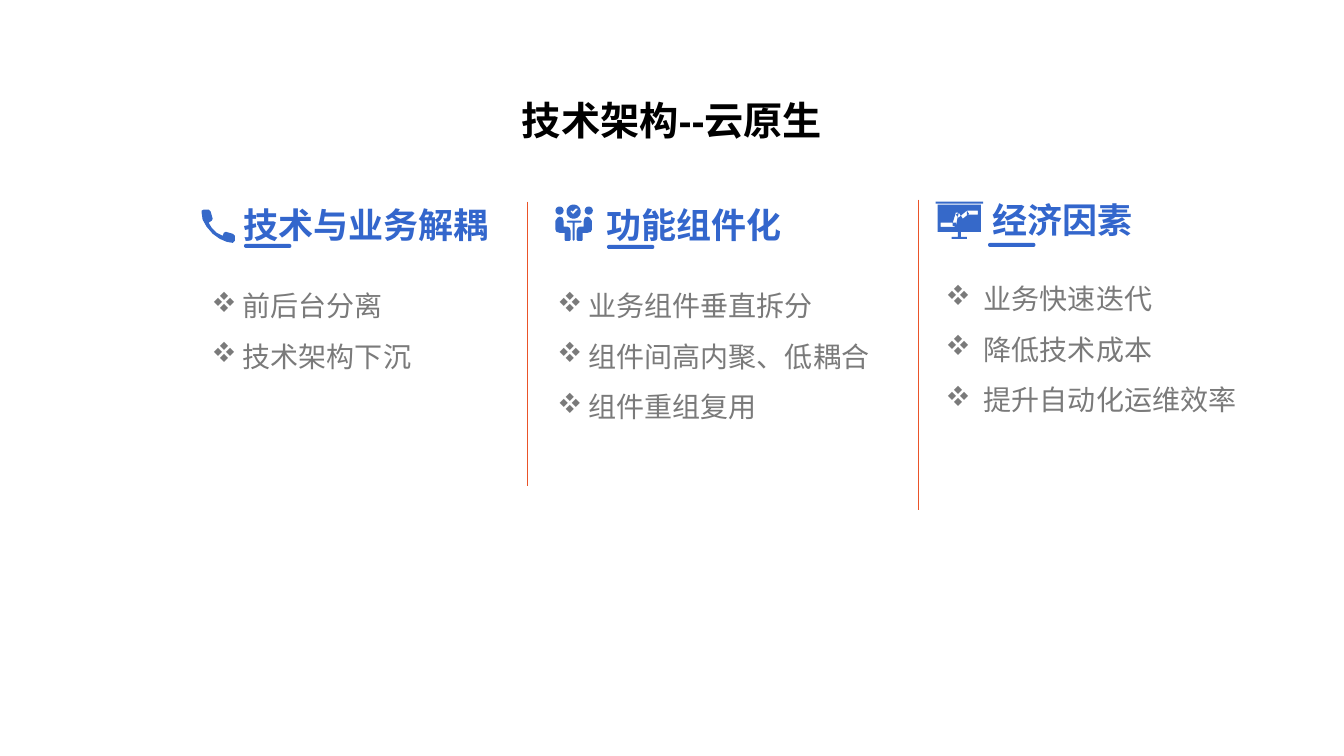
from math import cos, pi, sin

from lxml import etree
from pptx import Presentation
from pptx.dml.color import RGBColor
from pptx.enum.shapes import MSO_CONNECTOR, MSO_SHAPE
from pptx.enum.text import MSO_ANCHOR, MSO_AUTO_SIZE, PP_ALIGN
from pptx.oxml.ns import qn
from pptx.util import Inches, Pt

BLACK = RGBColor(0x00, 0x00, 0x00)
GRAY = RGBColor(0x7A, 0x7A, 0x7A)
BLUE = RGBColor(0x33, 0x66, 0xCC)
ICON_BLUE = RGBColor(0x36, 0x69, 0xC9)
ORANGE = RGBColor(0xEA, 0x54, 0x29)

ROUNDED = MSO_SHAPE.ROUNDED_RECTANGLE
STRAIGHT = MSO_CONNECTOR.STRAIGHT
TOP = MSO_ANCHOR.TOP
MIDDLE = MSO_ANCHOR.MIDDLE
FIT_SHAPE = MSO_AUTO_SIZE.SHAPE_TO_FIT_TEXT
CENTER = PP_ALIGN.CENTER

LATIN_FONT = "Arial"
CHINESE_FONT = "Noto Sans CJK SC"
BULLET_FONT, BULLET_DIAMOND = "Wingdings", "v"


def circle(center_x, center_y, radius):
    angles = [step * pi / 16 for step in range(32)]
    return [(center_x + radius * cos(angle), center_y + radius * sin(angle))
            for angle in angles]


def rectangle(left, top, right, bottom):
    return [(left, top), (right, top), (right, bottom), (left, bottom)]


def mirror(points, axis):
    return [(2 * axis - x, y) for x, y in points]


HANDSET = [
    (2.21, 2.34), (2.22, 2.31), (2.24, 2.3), (2.31, 2.32), (2.33, 2.34),
    (2.33, 2.39), (2.31, 2.41), (2.25, 2.4), (2.18, 2.37), (2.11, 2.32),
    (2.05, 2.25), (2.01, 2.18), (2, 2.11), (2, 2.09), (2.02, 2.08),
    (2.07, 2.08), (2.09, 2.1), (2.11, 2.17), (2.1, 2.19), (2.07, 2.21),
    (2.1, 2.26), (2.15, 2.31),
]
SEATED_PERSON = [
    (5.53, 2.16), (5.55, 2.15), (5.58, 2.16), (5.59, 2.19), (5.59, 2.25),
    (5.63, 2.25), (5.65, 2.26), (5.66, 2.29), (5.66, 2.38), (5.65, 2.39),
    (5.61, 2.39), (5.6, 2.38), (5.6, 2.31), (5.55, 2.31), (5.52, 2.3),
    (5.51, 2.28), (5.51, 2.19),
]
CHECK_MARK = [
    (5.66, 2.09), (5.67, 2.09), (5.68, 2.1), (5.71, 2.07), (5.73, 2.07),
    (5.73, 2.08), (5.69, 2.12), (5.68, 2.12), (5.66, 2.1),
]
TABLE = [
    (5.63, 2.19), (5.76, 2.19), (5.77, 2.2), (5.76, 2.21), (5.7, 2.21),
    (5.7, 2.38), (5.69, 2.39), (5.68, 2.38), (5.68, 2.21), (5.63, 2.21),
    (5.62, 2.2),
]
TREND_LINE = [
    (9.59, 2.09), (9.53, 2.14), (9.51, 2.11), (9.48, 2.11), (9.45, 2.21),
    (9.33, 2.21), (9.33, 2.25), (9.48, 2.25), (9.5, 2.15), (9.53, 2.19),
    (9.55, 2.17), (9.6, 2.13), (9.7, 2.13), (9.7, 2.09),
]
TREND_BREAKS = [
    [(9.45, 2.21), (9.48, 2.21), (9.48, 2.25), (9.45, 2.24)],
    [(9.53, 2.14), (9.55, 2.17), (9.53, 2.19), (9.51, 2.16)],
    [(9.51, 2.11), (9.5, 2.15), (9.48, 2.13)],
    [(9.59, 2.09), (9.61, 2.12), (9.6, 2.13), (9.59, 2.13)],
]
MEETING_AXIS = 5.69
ICONS = [
    [HANDSET],
    [TABLE, mirror(SEATED_PERSON, MEETING_AXIS), SEATED_PERSON, CHECK_MARK,
     circle(5.84, 2.09, 0.04), circle(5.55, 2.09, 0.04),
     circle(MEETING_AXIS, 2.1, 0.07)],
    [rectangle(9.28, 2, 9.75, 2.02), rectangle(9.3, 2.03, 9.73, 2.3),
     rectangle(9.5, 2.3, 9.53, 2.35), rectangle(9.44, 2.35, 9.59, 2.37),
     TREND_LINE, *TREND_BREAKS],
]

COLUMNS = [
    {"heading": "技术与业务解耦", "heading_at": (2.32, 1.97, 2.74, 0.52),
     "wrap": True, "underline": (2.42, 2.42), "indent": 0.31, "anchor": TOP,
     "list_at": (2, 2.65, 2.9, 1.64),
     "items": ["前后台分离", "技术架构下沉"]},
    {"heading": "功能组件化", "heading_at": (5.92, 1.97, 3.02, 0.52),
     "wrap": True, "underline": (6.02, 2.43), "indent": 0.31, "anchor": MIDDLE,
     "list_at": (5.43, 2.63, 3.51, 1.64),
     "items": ["业务组件垂直拆分", "组件间高内聚、低耦合", "组件重组复用"]},
    {"heading": "经济因素", "heading_at": (9.75, 1.92, 1.6, 0.52),
     "wrap": False, "underline": (9.8, 2.41), "indent": 0.38, "anchor": MIDDLE,
     "list_at": (9.28, 2.63, 3.23, 1.5),
     "items": ["业务快速迭代", "降低技术成本", "提升自动化运维效率"]},
]
DIVIDERS = [(5.23, 2, 4.82), (9.11, 1.98, 5.06)]


class SlideBuilder:
    def __init__(self, page):
        self.page = page

    def text_box(self, at, anchor=TOP, wrap=True):
        box = self.page.shapes.add_textbox(*map(Inches, at))
        frame = box.text_frame
        frame.word_wrap = wrap
        frame.vertical_anchor = anchor
        return frame

    def span(self, para, text, size, color, bold=False, latin=CHINESE_FONT):
        span = para.add_run()
        span.text = text
        font = span.font
        font.name, font.size, font.bold = latin, Pt(size), bold
        font.color.rgb = color
        properties = span.font._element
        east_asian = etree.Element(qn("a:ea"), typeface=CHINESE_FONT)
        properties.find(qn("a:latin")).addnext(east_asian)

    def title(self, text, at):
        frame = self.text_box(at, MIDDLE)
        frame.margin_left = frame.margin_right = Inches(0.06)
        frame.margin_top = frame.margin_bottom = Inches(0.06)
        para = frame.paragraphs[0]
        para.alignment = CENTER
        self.span(para, text, 28, BLACK, True, LATIN_FONT)

    def heading(self, text, at, wrap):
        frame = self.text_box(at, wrap=wrap)
        frame.auto_size = FIT_SHAPE
        self.span(frame.paragraphs[0], text, 25, BLUE, True)

    def bullets(self, items, at, indent, anchor):
        frame = self.text_box(at, anchor)
        for index, item in enumerate(items):
            para = frame.add_paragraph() if index else frame.paragraphs[0]
            para.line_spacing = 1.5
            properties = para._p.get_or_add_pPr()
            properties.set("marL", str(Inches(indent)))
            properties.set("indent", str(-Inches(indent)))
            etree.SubElement(properties, qn("a:buFont"),
                             typeface=BULLET_FONT, charset="2")
            etree.SubElement(properties, qn("a:buChar"), char=BULLET_DIAMOND)
            self.span(para, item, 20, GRAY)

    def paint(self, shape, color):
        shape.shadow.inherit = False
        shape.fill.solid()
        shape.fill.fore_color.rgb = color
        shape.line.fill.background()

    def underline(self, left, top):
        bar = self.page.shapes.add_shape(
            ROUNDED, *map(Inches, (left, top, 0.47, 0.04)))
        bar.adjustments[0] = 0.5
        self.paint(bar, BLUE)

    def icon(self, contours):
        builder = None
        for contour in contours:
            start, *corners = [(Inches(x), Inches(y)) for x, y in contour]
            if builder is None:
                builder = self.page.shapes.build_freeform(*start)
            else:
                builder.move_to(*start)
            builder.add_line_segments(corners, close=True)
        self.paint(builder.convert_to_shape(), ICON_BLUE)

    def divider(self, left, top, bottom):
        line = self.page.shapes.add_connector(
            STRAIGHT, Inches(left), Inches(top), Inches(left), Inches(bottom))
        line.line.color.rgb = ORANGE
        line.line.width = Pt(0.5)
        etree.SubElement(line._element.spPr, qn("a:effectLst"))


def main():
    deck = Presentation()
    deck.slide_width, deck.slide_height = Inches(13.33), Inches(7.5)
    builder = SlideBuilder(deck.slides.add_slide(deck.slide_layouts[6]))
    builder.title("技术架构--云原生", (0.92, 0.87, 11.49, 0.63))
    for column in COLUMNS:
        builder.bullets(column["items"], column["list_at"],
                        column["indent"], column["anchor"])
        builder.heading(column["heading"], column["heading_at"], column["wrap"])
        builder.underline(*column["underline"])
    for divider in DIVIDERS:
        builder.divider(*divider)
    for contours in ICONS:
        builder.icon(contours)
    deck.save("out.pptx")


if __name__ == "__main__":
    main()
